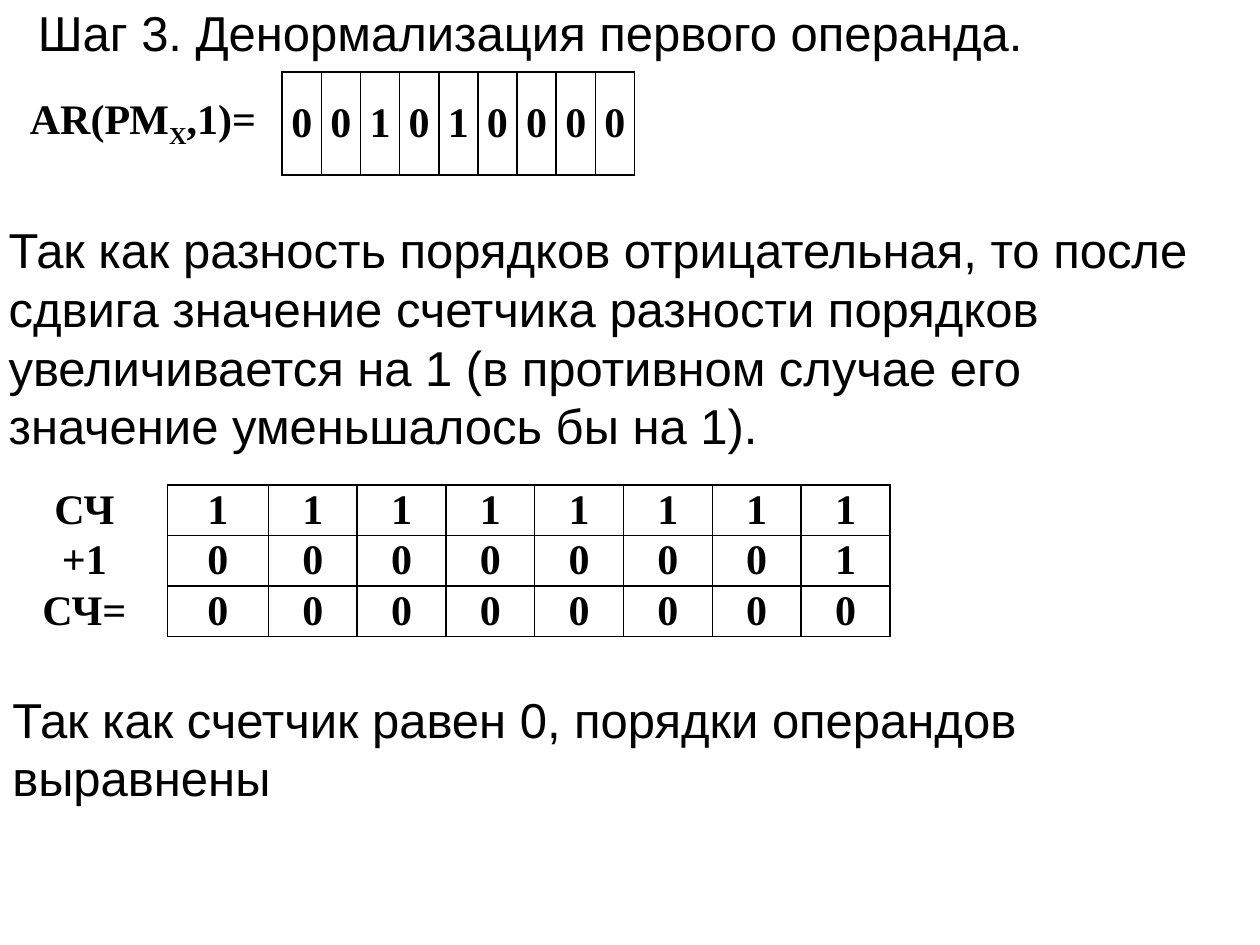
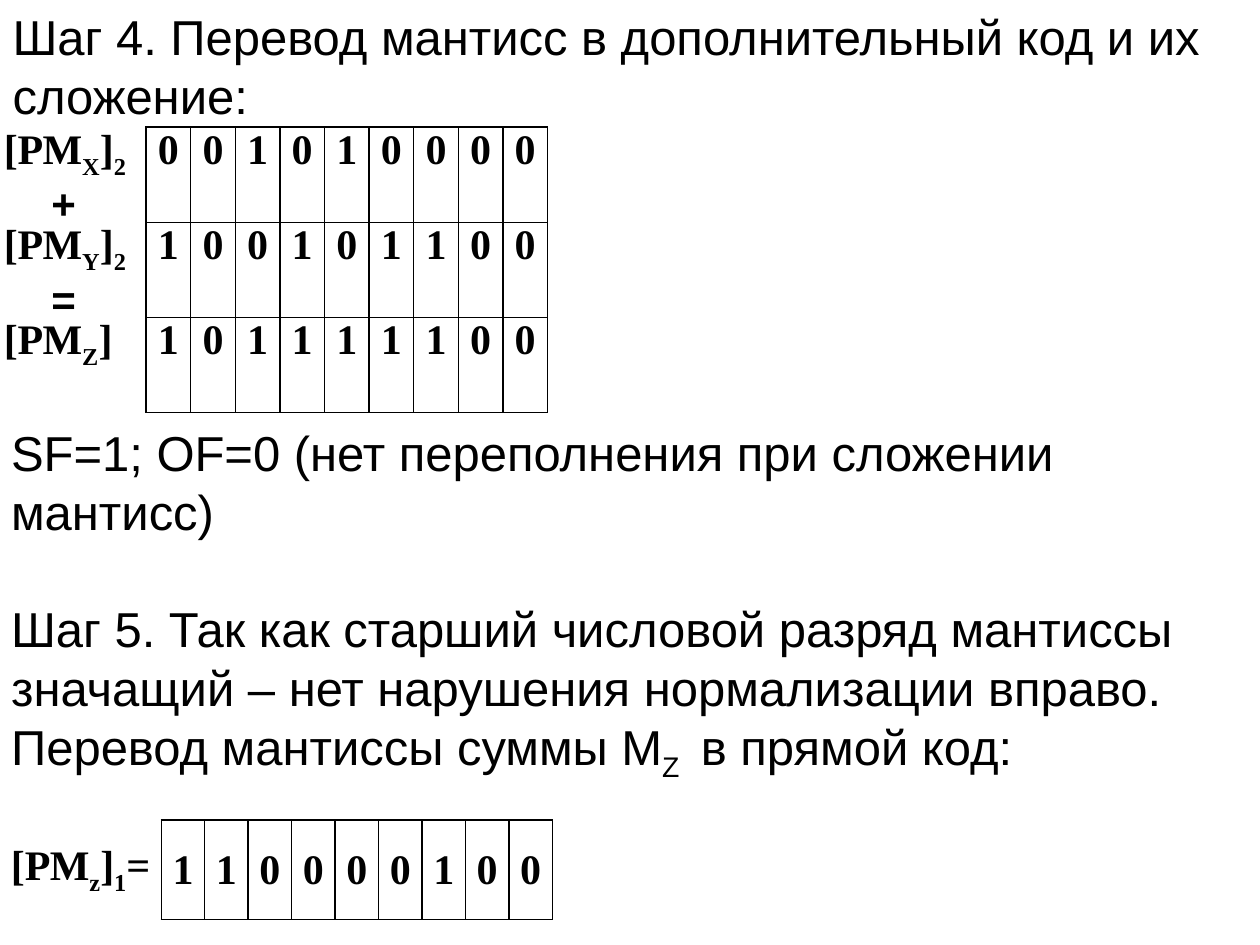
from dataclasses import dataclass
from typing import Optional

from lxml import etree
from pptx import Presentation
from pptx.dml.color import RGBColor
from pptx.enum.text import MSO_ANCHOR, MSO_AUTO_SIZE, PP_ALIGN
from pptx.oxml.ns import qn
from pptx.util import Inches, Pt

TOP, MIDDLE = MSO_ANCHOR.TOP, MSO_ANCHOR.MIDDLE
LEFT, CENTER, JUSTIFY = PP_ALIGN.LEFT, PP_ALIGN.CENTER, PP_ALIGN.JUSTIFY
GROW = MSO_AUTO_SIZE.SHAPE_TO_FIT_TEXT

# Grid: 100 columns by 75 rows of square units
WIDTH, HEIGHT = Inches(10), Inches(7.5)
UNIT = WIDTH // 100
TITLE_ONLY = 5
BLACK = "000000"
BORDER_WIDTH = Pt(1)
EMPTY_LINE = Pt(33.6)


@dataclass(frozen=True)
class Style:
    font: str
    size: int
    bold: bool = False


PROSE = Style("Arial", 28)
SIGN = Style("Arial", 24, True)
BITS = Style("Times New Roman", 24, True)


@dataclass(frozen=True)
class Part:
    text: str
    subscript: bool = False


Line = tuple[Part, ...]


@dataclass(frozen=True)
class Box:
    left: float
    top: float
    width: float
    height: float
    lines: tuple[Line, ...]
    style: Style = PROSE
    anchor: MSO_ANCHOR = TOP
    alignment: PP_ALIGN = LEFT
    indent: float = 0
    gap: int = 0
    wrap: bool = True


@dataclass(frozen=True)
class Register:
    """A table of bits with a borderless label column."""
    left: float
    top: float
    label_width: float
    bit_width: float
    row_height: float
    rows: tuple[tuple[Line, str], ...]
    margin: float
    anchor: MSO_ANCHOR = MIDDLE
    label_alignment: PP_ALIGN = CENTER
    first_bit_width: Optional[float] = None


def units(value: float) -> int:
    return round(value * UNIT)


def color(value: str) -> RGBColor:
    return RGBColor.from_string(value)


def line(*texts: str) -> Line:
    """Every second text is a subscript."""
    return tuple(Part(text, index % 2 == 1) for index, text in enumerate(texts))


def add_runs(paragraph, parts: Line, style: Style) -> None:
    for part in parts:
        run = paragraph.add_run()
        run.text = part.text
        font = run.font
        font.name, font.size, font.bold = style.font, Pt(style.size), style.bold
        font.color.rgb = color(BLACK)
        if part.subscript:
            run._r.get_or_add_rPr().set("baseline", "-25000")


def fill_box(shape, box: Box) -> None:
    shape.left, shape.top = units(box.left), units(box.top)
    shape.width, shape.height = units(box.width), units(box.height)
    frame = shape.text_frame
    frame.word_wrap = box.wrap
    frame.auto_size = GROW
    frame.vertical_anchor = box.anchor
    for index, parts in enumerate(box.lines):
        paragraph = frame.add_paragraph() if index else frame.paragraphs[0]
        paragraph.alignment = box.alignment
        if index:
            paragraph.space_before = box.gap
        if box.indent:
            paragraph._p.get_or_add_pPr().set("indent", str(units(box.indent)))
        add_runs(paragraph, parts, box.style)


def set_borders(cell, is_label: bool) -> None:
    properties = cell._tc.get_or_add_tcPr()
    for side in ("lnL", "lnR", "lnT", "lnB"):
        border = etree.SubElement(properties, qn(f"a:{side}"), w=str(BORDER_WIDTH))
        if is_label and side != "lnR":
            etree.SubElement(border, qn("a:noFill"))
        else:
            fill = etree.SubElement(border, qn("a:solidFill"))
            etree.SubElement(fill, qn("a:srgbClr"), val=BLACK)


def add_register(slide, register: Register) -> None:
    bit_count = len(register.rows[0][1])
    first = register.first_bit_width or register.bit_width
    widths = [register.label_width, first] + [register.bit_width] * (bit_count - 1)
    height = register.row_height * len(register.rows)
    table = slide.shapes.add_table(
        len(register.rows), len(widths), units(register.left), units(register.top),
        units(sum(widths)), units(height)).table
    table.first_row = table.horz_banding = False
    for column, width in zip(table.columns, widths):
        column.width = units(width)
    for row_index, (label, bits) in enumerate(register.rows):
        table.rows[row_index].height = units(register.row_height)
        for column_index, parts in enumerate([label, *map(line, bits)]):
            is_label = column_index == 0
            cell = table.cell(row_index, column_index)
            cell.margin_left = cell.margin_right = units(register.margin)
            cell.margin_top = cell.margin_bottom = 0
            cell.vertical_anchor = register.anchor
            set_borders(cell, is_label)
            cell.fill.background()
            paragraph = cell.text_frame.paragraphs[0]
            paragraph.alignment = register.label_alignment if is_label else CENTER
            paragraph.space_after = Pt(3)
            add_runs(paragraph, parts, BITS)


def add_slide(presentation, title: Box, boxes: list[Box], registers: list[Register]) -> None:
    slide = presentation.slides.add_slide(presentation.slide_layouts[TITLE_ONLY])
    fill_box(slide.shapes.title, title)
    for register in registers:
        add_register(slide, register)
    for box in boxes:
        fill_box(slide.shapes.add_textbox(0, 0, 0, 0), box)


def main() -> None:
    presentation = Presentation()
    presentation.slide_width, presentation.slide_height = WIDTH, HEIGHT

    # Step 3: shifting the first operand
    add_slide(
        presentation,
        Box(0, -0.3, 100, 5.7, (line("Шаг 3. Денормализация первого операнда."),),
            anchor=MIDDLE, alignment=JUSTIFY, indent=2),
        [
            Box(-0.3, 16.8, 100, 19.9, (line(
                "Так как разность порядков отрицательная, то после сдвига значение "
                "счетчика разности порядков увеличивается на 1 (в противном случае "
                "его значение уменьшалось бы на 1)."),), anchor=MIDDLE),
            Box(0, 54.2, 100, 10.4, (line(
                "Так как счетчик равен 0, порядки операндов выравнены"),)),
        ],
        [
            Register(0.3, 5.7, 22.1, 3.11, 8.2,
                     ((line("AR(РМ", "X", ",1)="), "001010000"),), margin=0),
            Register(0.1, 38.5, 13.2, 7.05, 4,
                     ((line("СЧ"), "11111111"),
                      (line("+1"), "00000001"),
                      (line("СЧ="), "00000000")), margin=0.7, first_bit_width=8),
        ])

    # Steps 4 and 5: adding the mantissas and converting the sum
    signs = [Box(3.1, 13.6 + 7.6 * index, 4, 5, (line(sign),), SIGN, wrap=False)
             for index, sign in enumerate("+=")]
    add_slide(
        presentation,
        Box(0, 0, 100, 10.4, (line(
            "Шаг 4. Перевод мантисс в дополнительный код и их сложение:"),)),
        [
            Box(-0.1, 33.2, 100, 29.3, (
                line("SF=1; OF=0 (нет переполнения при сложении мантисс)"),
                line("Шаг 5. Так как старший числовой разряд мантиссы значащий – нет "
                     "нарушения нормализации вправо. Перевод мантиссы суммы М",
                     "Z ", " в прямой код:")), anchor=MIDDLE, gap=EMPTY_LINE),
            *signs,
        ],
        [
            Register(-0.1, 10.1, 11.7, 3.54, 7.55,
                     ((line("[РМ", "X", "]", "2"), "001010000"),
                      (line("[РМ", "Y", "]", "2"), "100101100"),
                      (line("[РМ", "Z", "]"), "101111100")),
                     margin=0.4, anchor=TOP, label_alignment=LEFT),
            Register(0, 65.1, 12.8, 3.45, 7.9,
                     ((line("[РМ", "z", "]", "1", "="), "110000100"),), margin=0.4),
        ])

    presentation.save("out.pptx")


if __name__ == "__main__":
    main()
